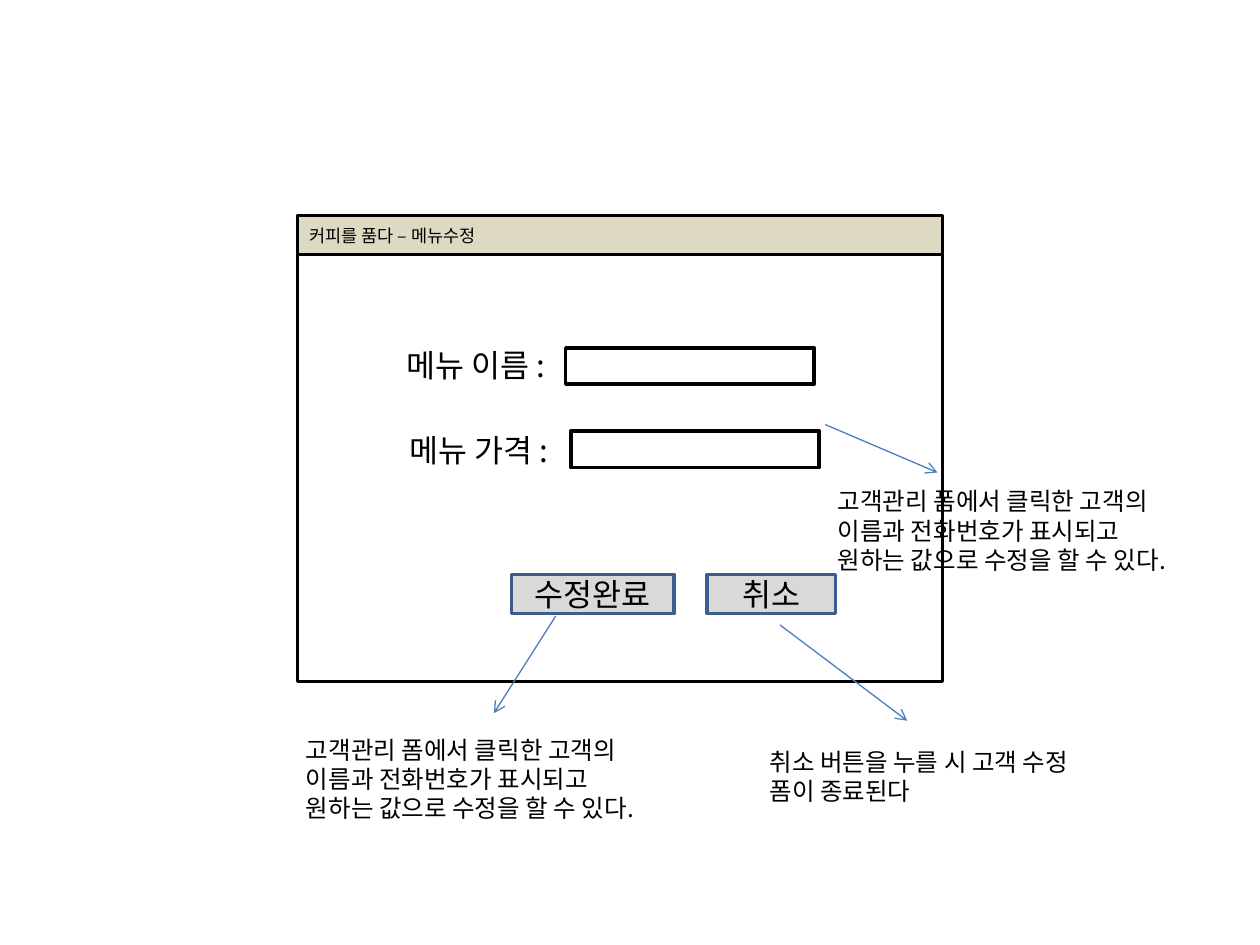
from lxml import etree
from pptx import Presentation
from pptx import util as u
from pptx.dml.color import RGBColor
from pptx.enum import shapes, text
from pptx.oxml.ns import qn

FONT = "Noto Sans CJK KR"
BLACK, WHITE, BEIGE, GRAY = "000000", "FFFFFF", "DDD9C3", "D9D9D9"
BUTTON_EDGE, ARROW = "3A5F8C", "4B7EBC"
EDIT_NOTE = "고객관리 폼에서 클릭한 고객의 이름과 전화번호가 표시되고 원하는 값으로 수정을 할 수 있다."
CANCEL_NOTE = "취소 버튼을 누를 시 고객 수정 폼이 종료된다"


def color(hex_value):
    """Turn a hex string into a colour."""
    return RGBColor.from_string(hex_value)


def part(box, left, top, width, height):
    """Return the part of a box given in percent of its size."""
    x, y, w, h = box
    return (int(x + w * left / 100), int(y + h * top / 100),
            int(w * width / 100), int(h * height / 100))


def write(frame, words, size, align=text.PP_ALIGN.LEFT):
    """Write one styled paragraph into a text frame."""
    frame.word_wrap = True
    paragraph = frame.paragraphs[0]
    paragraph.text = words
    paragraph.alignment = align
    font = paragraph.font
    font.size = u.Pt(size)
    font.color.rgb = color(BLACK)
    font.name = FONT
    etree.SubElement(font._element, qn("a:ea"), typeface=FONT)


def add_panel(slide, box, fill, edge=BLACK):
    """Add an outlined rectangle."""
    panel = slide.shapes.add_shape(shapes.MSO_SHAPE.RECTANGLE, *box)
    panel.shadow.inherit = False
    panel.fill.solid()
    panel.fill.fore_color.rgb = color(fill)
    panel.line.color.rgb = color(edge)
    panel.line.width = u.Pt(2)
    panel.text_frame.vertical_anchor = text.MSO_ANCHOR.MIDDLE
    return panel


def add_label(slide, box, words, size):
    """Add a wrapped text box."""
    frame = slide.shapes.add_textbox(*box).text_frame
    write(frame, words, size)
    frame.auto_size = text.MSO_AUTO_SIZE.SHAPE_TO_FIT_TEXT


def add_arrow(slide, box, start, end):
    """Add a thin arrow between two points in percent of the box."""
    points = part(box, *start, 0, 0)[:2] + part(box, *end, 0, 0)[:2]
    arrow = slide.shapes.add_connector(shapes.MSO_CONNECTOR.STRAIGHT, *points)
    arrow.line.color.rgb = color(ARROW)
    arrow.line.width = u.Pt(0.75)
    etree.SubElement(arrow.line._get_or_add_ln(), qn("a:tailEnd"), type="arrow")
    etree.SubElement(arrow._element.spPr, qn("a:effectLst"))


def draw_window(slide, box):
    """Draw the menu editing window with its fields and buttons."""
    add_panel(slide, box, WHITE)
    title_bar = add_panel(slide, part(box, 0, 0, 100, 8.4), BEIGE)
    write(title_bar.text_frame, "커피를 품다 – 메뉴수정", 10)
    fields = [("메뉴 이름 :", 15.04, 26.76, 41.6, 28.38),
              ("메뉴 가격 :", 15.43, 44.86, 42.38, 46.22)]
    for name, name_left, name_top, entry_left, entry_top in fields:
        add_label(slide, part(box, name_left, name_top, 30.66, 10.8), name, 18)
        add_panel(slide, part(box, entry_left, entry_top, 38.5, 7.84), WHITE)
    for caption, left, width in [("수정완료", 33.2, 25.2), ("취소", 63.5, 19.9)]:
        button = add_panel(slide, part(box, left, 77, width, 8.4), GRAY, BUTTON_EDGE)
        write(button.text_frame, caption, 18, text.PP_ALIGN.CENTER)


def draw_notes(slide, box):
    """Draw the explanations and the arrows that lead to them."""
    notes = [(EDIT_NOTE, 65.5, 50.8, 10.8, (65.5, 44.93), (74.4, 50)),
             (CANCEL_NOTE, 60.1, 78.4, 7.6, (61.9, 66.13), (72, 76.27)),
             (EDIT_NOTE, 23.3, 77.07, 10.8, (44.1, 65.2), (39.2, 75.47))]
    for words, left, top, height, start, end in notes:
        add_label(slide, part(box, left, top, 29.4, height), words, 14)
        add_arrow(slide, box, start, end)


def main():
    """Build and save the slide."""
    deck = Presentation()
    deck.slide_width, deck.slide_height = u.Inches(10), u.Inches(7.5)
    slide = deck.slides.add_slide(deck.slide_layouts[6])
    page = (0, 0, deck.slide_width, deck.slide_height)
    draw_window(slide, part(page, 23.6, 22.8, 51.2, 49.33))
    draw_notes(slide, page)
    deck.save("out.pptx")


if __name__ == "__main__":
    main()
